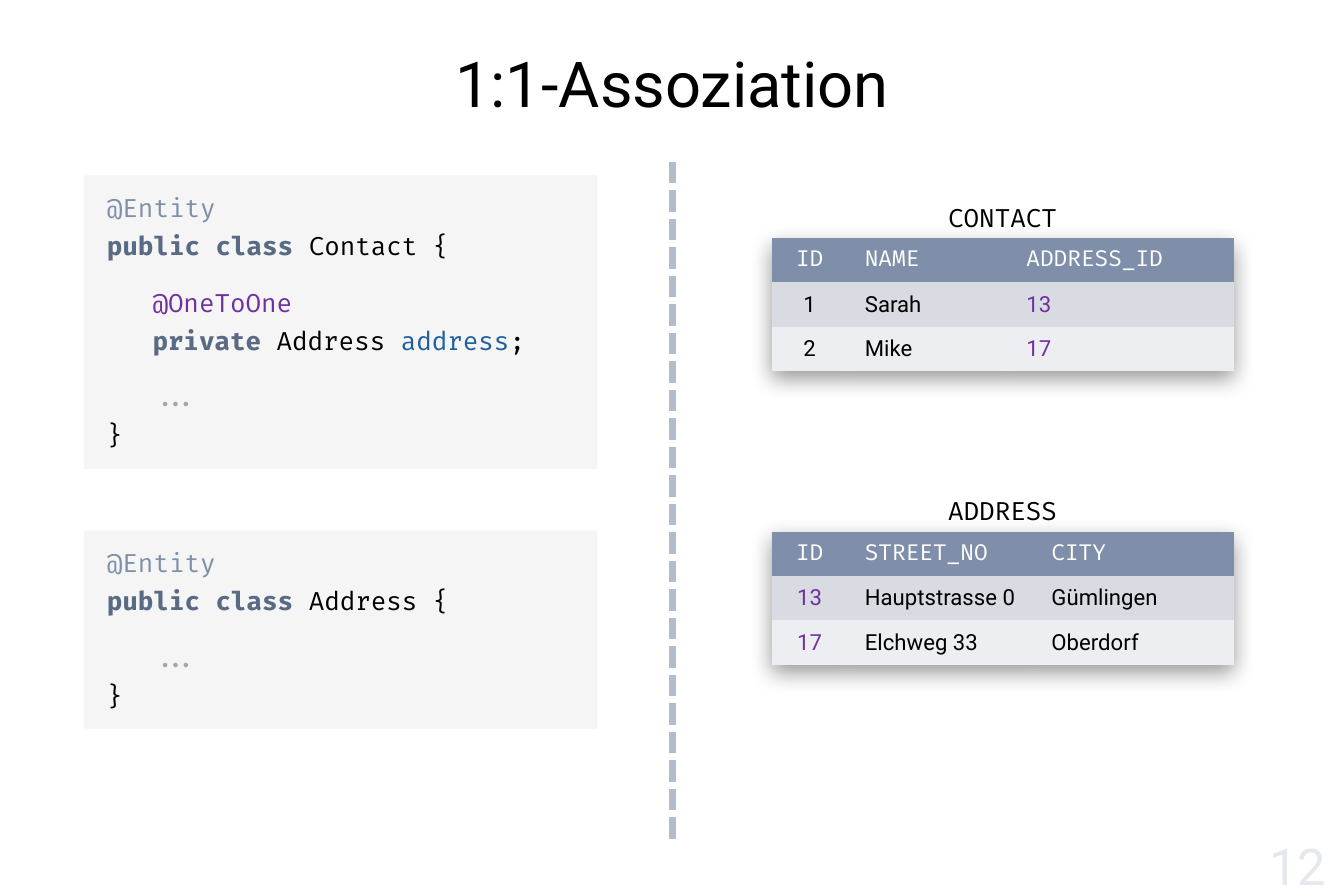
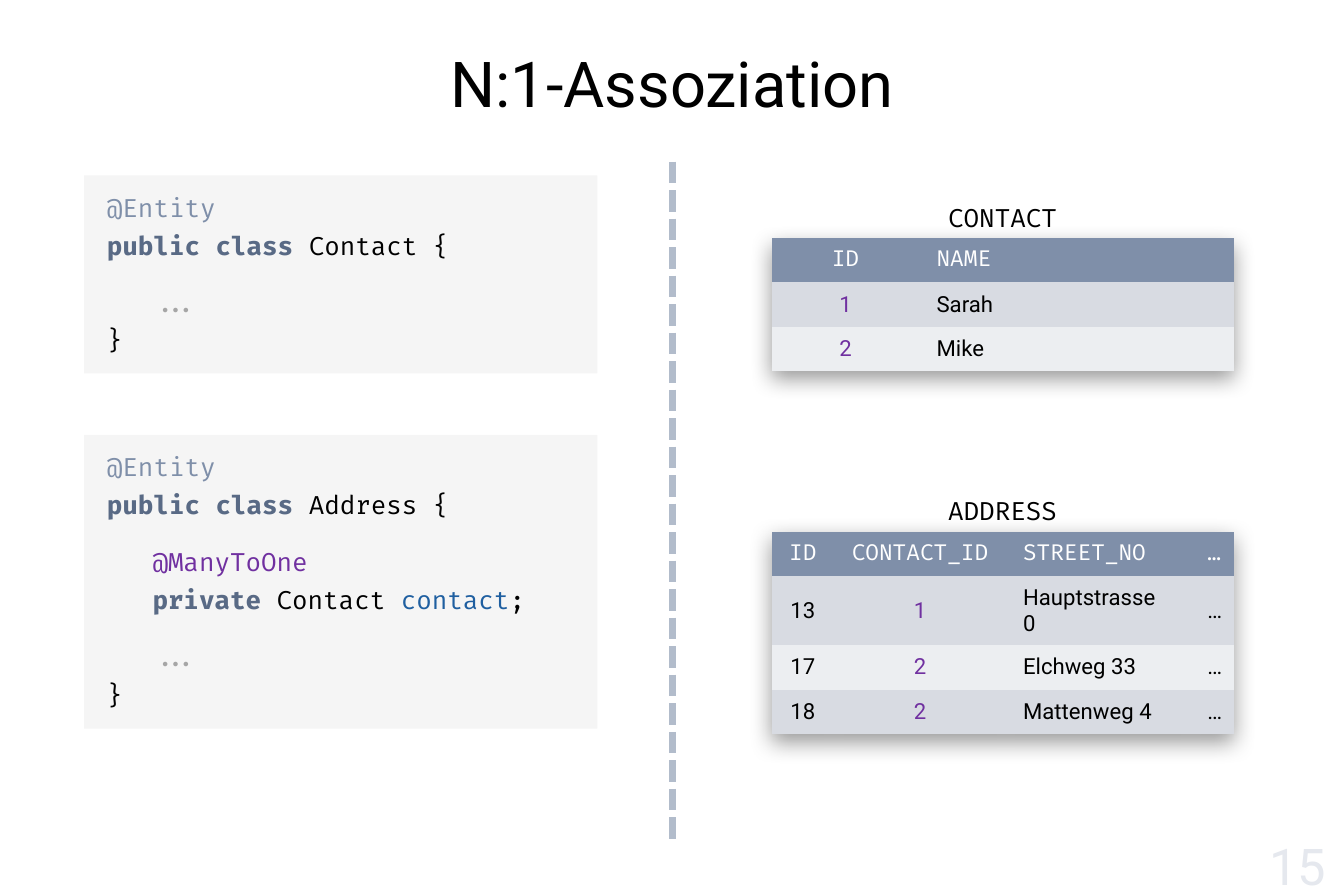
import lxml.etree
import pptx
import pptx.dml.color
import pptx.enum.dml
import pptx.enum.shapes
import pptx.enum.text
import pptx.oxml.ns
import pptx.util

Inches = pptx.util.Inches
Pt = pptx.util.Pt
ALIGN = pptx.enum.text.PP_ALIGN
ANCHOR = pptx.enum.text.MSO_ANCHOR
qn = pptx.oxml.ns.qn

COLORS = {
    "black": "000000",
    "white": "FFFFFF",
    "slate": "7F8FA9",
    "dark_slate": "596A85",
    "divider": "B2BCCB",
    "purple": "7030A0",
    "blue": "1F5FA0",
    "gray": "A6A6A6",
    "row_odd": "D8DBE2",
    "row_even": "ECEEF1",
    "page_number": "E5E8EE",
}
SANS, MONO = "Roboto", "Fira Code"
NO_TABLE_STYLE = "{2D5ABB26-0587-4C30-8999-92F81FD0307C}"

TITLE_BOX = (0.42, 0.33, 10.97, 0.87)
NUMBER_BOX = (10.4, 7.25, 1.35, 0.7)
DIVIDER = (5.91, 1.42, 7.38)
CODE_LEFT, CODE_WIDTH, CODE_TOP, CODE_BOTTOM = 0.74, 4.51, 1.54, 6.4
TABLE_LEFT, TABLE_WIDTH, TABLE_TOPS = 6.78, 4.06, (1.72, 4.3)
CAPTION_HEIGHT, ROW_HEIGHT = 0.37, 0.39

PAGES = [
    {
        "title": "1:1-Assoziation",
        "number": "12",
        "classes": [
            ("Contact", ("@OneToOne", "Address", "address")),
            ("Address", None),
        ],
        "tables": [
            {
                "caption": "CONTACT",
                "widths": (0.67, 1.42, 1.97),
                "centred": {0},
                "key": 2,
                "rows": [
                    ("ID", "NAME", "ADDRESS_ID"),
                    ("1", "Sarah", "13"),
                    ("2", "Mike", "17"),
                ],
            },
            {
                "caption": "ADDRESS",
                "widths": (0.67, 1.64, 1.75),
                "centred": {0},
                "key": 0,
                "rows": [
                    ("ID", "STREET_NO", "CITY"),
                    ("13", "Hauptstrasse 0", "Gümlingen"),
                    ("17", "Elchweg 33", "Oberdorf"),
                ],
            },
        ],
    },
    {
        "title": "N:1-Assoziation",
        "number": "15",
        "classes": [
            ("Contact", None),
            ("Address", ("@ManyToOne", "Contact", "contact")),
        ],
        "tables": [
            {
                "caption": "CONTACT",
                "widths": (1.3, 2.76),
                "centred": {0},
                "key": 0,
                "rows": [("ID", "NAME"), ("1", "Sarah"), ("2", "Mike")],
            },
            {
                "caption": "ADDRESS",
                "widths": (0.55, 1.51, 1.62, 0.38),
                "centred": {0, 1},
                "key": 1,
                "rows": [
                    ("ID", "CONTACT_ID", "STREET_NO", "…"),
                    ("13", "1", "Hauptstrasse 0", "…"),
                    ("17", "2", "Elchweg 33", "…"),
                    ("18", "2", "Mattenweg 4", "…"),
                ],
            },
        ],
    },
]


def rgb(name):
    return pptx.dml.color.RGBColor.from_string(COLORS[name])


def apply_format(target, values):
    for name, value in values.items():
        setattr(target, name, value)


def add_span(para, text, color, size, font=SANS, bold=False):
    span = para.add_run()
    span.text = text
    apply_format(span.font, {"name": font, "size": Pt(size), "bold": bold})
    span.font.color.rgb = rgb(color)


def add_text(page, box, text, align, color, size, font, anchor):
    frame = page.shapes.add_textbox(*map(Inches, box)).text_frame
    apply_format(frame, {"word_wrap": True, "vertical_anchor": anchor})
    para = frame.paragraphs[0]
    para.alignment = align
    add_span(para, text, color, size, font)


def place_title(page, box, text):
    title = page.shapes.title
    names = ("left", "top", "width", "height")
    apply_format(title, dict(zip(names, map(Inches, box))))
    title.text_frame.vertical_anchor = ANCHOR.MIDDLE
    para = title.text_frame.paragraphs[0]
    apply_format(para, {"alignment": ALIGN.CENTER, "line_spacing": 0.9})
    add_span(para, text, "black", 40)


def add_divider(page, x, top, bottom):
    divider = page.shapes.add_connector(
        pptx.enum.shapes.MSO_CONNECTOR.STRAIGHT,
        Inches(x), Inches(top), Inches(x), Inches(bottom))
    divider.line.color.rgb = rgb("divider")
    apply_format(divider.line, {
        "width": Pt(4.5),
        "dash_style": pptx.enum.dml.MSO_LINE.SQUARE_DOT,
    })
    properties = divider.element.find(qn("p:spPr"))
    lxml.etree.SubElement(properties, qn("a:effectLst"))


def class_lines(name, field):
    """Return (indent, space before, spans) for each line of an entity class."""
    lines = [
        (0, 0, [("@Entity", "slate")]),
        (0, 0, [("public class ", "dark_slate"), (name + " {", "black")]),
    ]
    if field:
        annotation, kind, variable = field
        lines += [
            (0.4, 12, [(annotation, "purple")]),
            (0.4, 0, [("private ", "dark_slate"), (kind + " ", "black"),
                      (variable, "blue"), (";", "black")]),
        ]
    return lines + [(0.4, 12, [("...", "gray")]), (0, 0, [("}", "black")])]


def add_code(page, box, lines):
    panel = page.shapes.add_shape(
        pptx.enum.shapes.MSO_SHAPE.RECTANGLE, *map(Inches, box))
    panel.shadow.inherit = False
    panel.line.fill.background()
    panel.fill.solid()
    panel.fill.fore_color.rgb = rgb("black")
    shade = panel.element.spPr.find(".//" + qn("a:srgbClr"))
    lxml.etree.SubElement(shade, qn("a:alpha"), val="4000")
    frame = panel.text_frame
    apply_format(frame, {
        "word_wrap": True,
        "vertical_anchor": ANCHOR.TOP,
        "margin_left": Inches(0.2),
        "margin_right": Inches(0.2),
        "margin_top": Inches(0.08),
        "margin_bottom": Inches(0.16),
    })
    for index, (indent, gap, spans) in enumerate(lines):
        para = frame.add_paragraph() if index else frame.paragraphs[0]
        apply_format(para, {
            "alignment": ALIGN.LEFT,
            "line_spacing": 1.25,
            "space_before": Pt(gap),
        })
        para._p.get_or_add_pPr().set("marL", str(Inches(indent)))
        for text, color in spans:
            add_span(para, text, color, 16, MONO, color == "dark_slate")


def add_table_shadow(table):
    properties = table._tbl.tblPr
    properties.find(qn("a:tableStyleId")).text = NO_TABLE_STYLE
    effects = lxml.etree.Element(qn("a:effectLst"))
    shadow = lxml.etree.SubElement(
        effects, qn("a:outerShdw"), blurRad=str(Inches(0.2)),
        dist=str(Inches(0.07)), dir="5400000", algn="t", rotWithShape="0")
    color = lxml.etree.SubElement(shadow, qn("a:srgbClr"), val=COLORS["black"])
    lxml.etree.SubElement(color, qn("a:alpha"), val="40000")
    properties.insert(0, effects)


def fill_cell(cell, text, fill, color, font, align):
    cell.fill.solid()
    cell.fill.fore_color.rgb = rgb(fill)
    apply_format(cell, {
        "margin_left": Inches(0.15),
        "margin_right": Inches(0.15),
        "margin_top": Inches(0.07),
        "margin_bottom": Inches(0.07),
        "vertical_anchor": ANCHOR.MIDDLE,
    })
    para = cell.text_frame.paragraphs[0]
    para.alignment = align
    add_span(para, text, color, 14, font)


def add_captioned_table(page, left, top, width, data):
    add_text(page, (left, top, width, CAPTION_HEIGHT), data["caption"],
             ALIGN.CENTER, "black", 16, MONO, ANCHOR.BOTTOM)
    rows = data["rows"]
    box = (left, top + CAPTION_HEIGHT, width, ROW_HEIGHT * len(rows))
    table = page.shapes.add_table(
        len(rows), len(rows[0]), *map(Inches, box)).table
    add_table_shadow(table)
    for column, column_width in zip(table.columns, data["widths"]):
        column.width = Inches(column_width)
    for row_index, row in enumerate(rows):
        table.rows[row_index].height = Inches(ROW_HEIGHT)
        for column_index, text in enumerate(row):
            if row_index == 0:
                fill, color, font = "slate", "white", MONO
            else:
                fill = "row_odd" if row_index % 2 else "row_even"
                color = "purple" if column_index == data["key"] else "black"
                font = SANS
            centred = column_index in data["centred"]
            fill_cell(table.cell(row_index, column_index), text, fill, color,
                      font, ALIGN.CENTER if centred else ALIGN.LEFT)


def add_association_page(deck, data):
    page = deck.slides.add_slide(deck.slide_layouts[5])
    place_title(page, TITLE_BOX, data["title"])
    add_divider(page, *DIVIDER)
    for index, (name, field) in enumerate(data["classes"]):
        height = 2.58 if field else 1.74
        top = CODE_BOTTOM - height if index else CODE_TOP
        add_code(page, (CODE_LEFT, top, CODE_WIDTH, height),
                 class_lines(name, field))
    for top, table in zip(TABLE_TOPS, data["tables"]):
        add_captioned_table(page, TABLE_LEFT, top, TABLE_WIDTH, table)
    add_text(page, NUMBER_BOX, data["number"], ALIGN.RIGHT, "page_number",
             32, SANS, ANCHOR.MIDDLE)


def main():
    deck = pptx.Presentation()
    apply_format(deck, {"slide_width": Inches(11.81),
                        "slide_height": Inches(7.87)})
    for data in PAGES:
        add_association_page(deck, data)
    deck.save("out.pptx")


if __name__ == "__main__":
    main()
